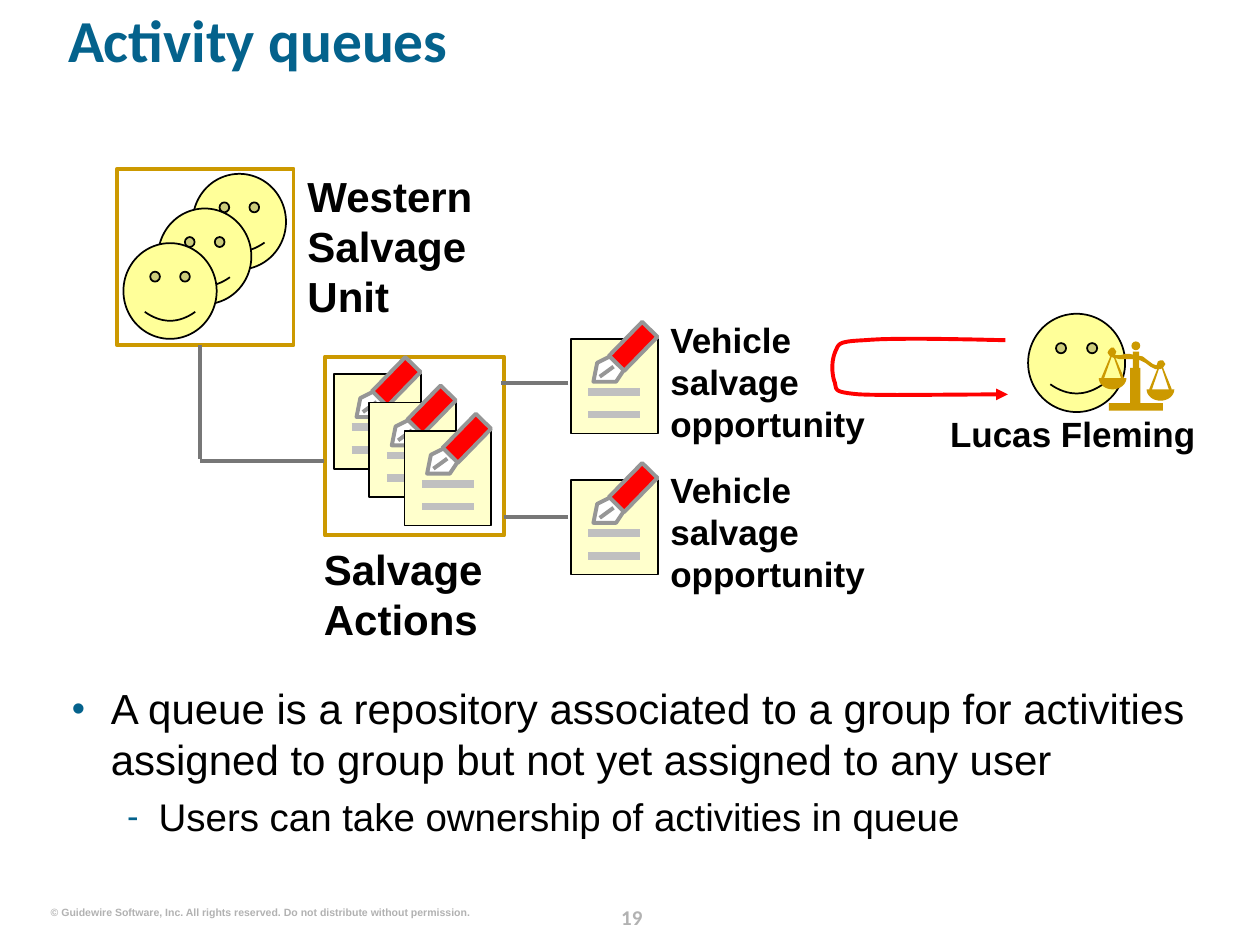
from math import cos, pi, sin

from lxml import etree
from pptx import Presentation, util as u
from pptx.dml.color import RGBColor
from pptx.enum import shapes, text
from pptx.oxml.ns import qn

BLUE = RGBColor(0x04, 0x62, 0x8C)
BLACK = RGBColor(0, 0, 0)
WHITE = RGBColor(255, 255, 255)
GOLD = RGBColor(0xCC, 0x99, 0x00)
FACE = RGBColor(0xFF, 0xFF, 0x99)
PAPER = RGBColor(0xFF, 0xFF, 0xCC)
RED = RGBColor(255, 0, 0)
STEEL = RGBColor(0x96, 0x96, 0x96)
RULE = RGBColor(0xC0, 0xC0, 0xC0)
LINK = RGBColor(0x77, 0x77, 0x77)
FOOT = RGBColor(0xB2, 0xB2, 0xB2)

KIND = shapes.MSO_SHAPE
ALIGN = text.PP_ALIGN

TITLE = "Activity queues"
BULLETS = [
    ("A queue is a repository associated to a group for activities "
     "assigned to group but not yet assigned to any user",
     dict(size=24, mark="•", left=0.31, hang=0.31)),
    ("Users can take ownership of activities in queue",
     dict(size=22, mark="-", left=0.69, hang=0.25, before=5.5, level=1)),
]
LABELS = [
    ("Western \vSalvage\vUnit", (2.44, 1.35, 3.19, 1.2), 24),
    ("Salvage Actions", (2.57, 4.31, 1.51, 0.8), 24),
    ("Vehicle salvage opportunity", (5.32, 2.53, 1.68, 1), 20),
    ("Vehicle salvage opportunity", (5.32, 3.72, 1.68, 1), 20),
    ("Lucas Fleming", (7.54, 3.27, 2.13, 0.33), 20),
]
COPYRIGHT = ("© Guidewire Software, Inc. All rights reserved. "
             "Do not distribute without permission.")
LINKS = [
    (1.59, 2.74, 1.59, 3.64), (1.59, 3.66, 2.57, 3.66),
    (4.51, 3.04, 3.98, 3.04), (4.51, 4.1, 4, 4.1),
]
NIB = [(0.31, 0.14), (0.21, 0.19), (0.18, 0.34), (0.36, 0.34), (0.42, 0.25)]
BEAM = [
    (9.25, 2.89), (9.23, 2.86), (9.21, 2.86), (9.19, 2.87), (9.18, 2.9),
    (9.15, 2.89), (9.11, 2.86), (9.07, 2.83), (9.02, 2.82), (8.97, 2.81),
    (8.93, 2.81), (8.89, 2.82), (8.85, 2.82), (8.86, 2.79), (8.84, 2.76),
    (8.82, 2.76), (8.8, 2.78), (8.79, 2.8), (8.81, 2.83), (8.84, 2.84),
    (8.88, 2.85), (8.93, 2.85), (8.98, 2.85), (9.05, 2.86), (9.09, 2.88),
    (9.13, 2.91), (9.17, 2.93), (9.21, 2.93), (9.23, 2.92),
]
PANS = [(8.83, 2.81, 3), (9.21, 2.89, 3.09)]
BARS = [(8.99, 2.79, 0.05, 0.18), (8.97, 2.92, 0.08, 0.29),
        (8.8, 3.2, 0.43, 0.06)]
LOOP = [
    (7.98, 2.7), (7.53, 2.69), (7.09, 2.68), (6.86, 2.7),
    (6.64, 2.71), (6.66, 2.73), (6.63, 2.79),
    (6.6, 2.86), (6.6, 2.95), (6.62, 3.02),
    (6.65, 3.09), (6.59, 3.11), (6.82, 3.13),
    (7.05, 3.14), (7.52, 3.13), (8, 3.13),
]

deck = Presentation()


def inch(val):
    return u.Cm(val * 2.54)


deck.slide_width, deck.slide_height = inch(10), inch(7.5)
slide = deck.slides.add_slide(deck.slide_layouts[6])
tree = slide.shapes


def write(para, words, size=20, color=BLACK, bold=False, face="Arial",
          align=ALIGN.LEFT, gap=None, before=0, mark=None, left=0, hang=0,
          level=0):
    para.text = words
    para.alignment = align
    para.level = level
    para.space_before = u.Pt(before)
    if gap:
        para.line_spacing = gap
    if mark:
        props = para._p.get_or_add_pPr()
        props.set("marL", str(inch(left)))
        props.set("indent", str(-inch(hang)))
        tint = etree.SubElement(props, qn("a:buClr"))
        etree.SubElement(tint, qn("a:srgbClr"), val=str(BLUE))
        etree.SubElement(props, qn("a:buSzPct"), val="90000")
        etree.SubElement(props, qn("a:buFont"), typeface="Arial")
        etree.SubElement(props, qn("a:buChar"), char=mark)
    for run in para.runs:
        font = run.font
        font.name, font.size, font.bold = face, u.Pt(size), bold
        font.color.rgb = color


def frame(box, wrap=True):
    body = tree.add_textbox(*map(inch, box)).text_frame
    body.word_wrap = wrap
    body.vertical_anchor = text.MSO_ANCHOR.TOP
    body.margin_left = body.margin_right = 0
    body.margin_top = body.margin_bottom = 0
    return body


def label(words, box, wrap=True, **look):
    write(frame(box, wrap).paragraphs[0], words, **look)


def paint(item, fill=None, edge=None, width=1):
    item.shadow.inherit = False
    if fill is None:
        item.fill.background()
    else:
        item.fill.solid()
        item.fill.fore_color.rgb = fill
    if edge is None:
        item.line.fill.background()
    else:
        item.line.color.rgb = edge
        item.line.width = u.Pt(width)
    return item


def block(kind, box, **look):
    return paint(tree.add_shape(kind, *map(inch, box)), **look)


def trace(dots, close=True, **look):
    pts = [(inch(x), inch(y)) for x, y in dots]
    form = tree.build_freeform(*pts[0])
    form.add_line_segments(pts[1:], close=close)
    return paint(form.convert_to_shape(), **look)


def line(ends, color, width):
    wire = tree.add_connector(shapes.MSO_CONNECTOR.STRAIGHT, *map(inch, ends))
    wire.line.color.rgb = color
    wire.line.width = u.Pt(width)
    etree.SubElement(wire._element.spPr, qn("a:effectLst"))


def smile(box):
    block(KIND.SMILEY_FACE, box, fill=FACE, edge=BLACK).adjustments[0] = 0.0465


def note(x, y):
    block(KIND.RECTANGLE, (x, y, 0.69, 0.75), fill=PAPER, edge=BLACK)
    for low in (0.6, 0.42):
        line((x + 0.14, y + low, x + 0.55, y + low), RULE, 4.5)
    pen = block(KIND.RECTANGLE, (x + 0.41, y - 0.13, 0.17, 0.38),
                fill=RED, edge=STEEL, width=2.25)
    pen.rotation = 44.3
    trace([(x + a, y + b) for a, b in NIB], fill=WHITE, edge=STEEL, width=2.25)
    line((x + 0.34, y + 0.22, x + 0.23, y + 0.3), STEEL, 2.25)


def scales():
    trace(BEAM, fill=GOLD)
    for mid, top, low in PANS:
        arc = [k * pi / 16 for k in range(17)]
        trace([(mid + 0.11 * cos(t), low + 0.09 * sin(t)) for t in arc],
              fill=GOLD)
        for side in (-1, 1):
            trace([(mid + side * 0.07, low + 0.01), (mid, top),
                   (mid + side * 0.01, top), (mid + side * 0.09, low)],
                  fill=GOLD)
    for bar in BARS:
        block(KIND.RECTANGLE, bar, fill=GOLD)
    block(KIND.OVAL, (8.98, 2.71, 0.07, 0.07), fill=GOLD)


def curve(knots, steps=12):
    dots = [knots[0]]
    for i in range(0, len(knots) - 1, 3):
        for k in range(1, steps + 1):
            t = k / steps
            mix = ((1 - t) ** 3, 3 * t * (1 - t) ** 2,
                   3 * t * t * (1 - t), t ** 3)
            dots.append(tuple(sum(m * p[d] for m, p in zip(mix, knots[i:i + 4]))
                              for d in (0, 1)))
    return dots


label("19", (4.73, 7.13, 0.57, 0.25), size=12, face="Calibri", color=FOOT,
      bold=True, align=ALIGN.CENTER, gap=u.Pt(18))
label(COPYRIGHT, (0.4, 7.19, 3.33, 0.1), wrap=False, size=6, color=FOOT,
      bold=True, align=ALIGN.RIGHT)
label(TITLE, (0.54, 0.13, 9.1, 0.81), size=34, face="Calibri", color=BLUE,
      bold=True, gap=0.8)

body = frame((0.57, 5.42, 9.1, 1.57))
for i, (words, look) in enumerate(BULLETS):
    write(body.add_paragraph() if i else body.paragraphs[0], words, **look)

for i in range(3):
    smile((1.53 - 0.275 * i, 1.38 + 0.275 * i, 0.74, 0.76))
for box in ((0.93, 1.34, 1.4, 1.4), (2.58, 2.83, 1.42, 1.42)):
    block(KIND.RECTANGLE, box, edge=GOLD, width=2.25)
for i in range(3):
    note(2.65 + 0.28 * i, 2.97 + 0.225 * i)
for y in (2.69, 3.81):
    note(4.53, y)
for ends in LINKS:
    line(ends, LINK, 2.25)
smile((8.16, 2.49, 0.77, 0.78))
scales()

loop = trace(curve(LOOP), close=False, edge=RED, width=2.25)
etree.SubElement(loop.line._get_or_add_ln(), qn("a:tailEnd"), type="triangle")

for words, box, size in LABELS:
    label(words, box, size=size, bold=True)

deck.save("out.pptx")
